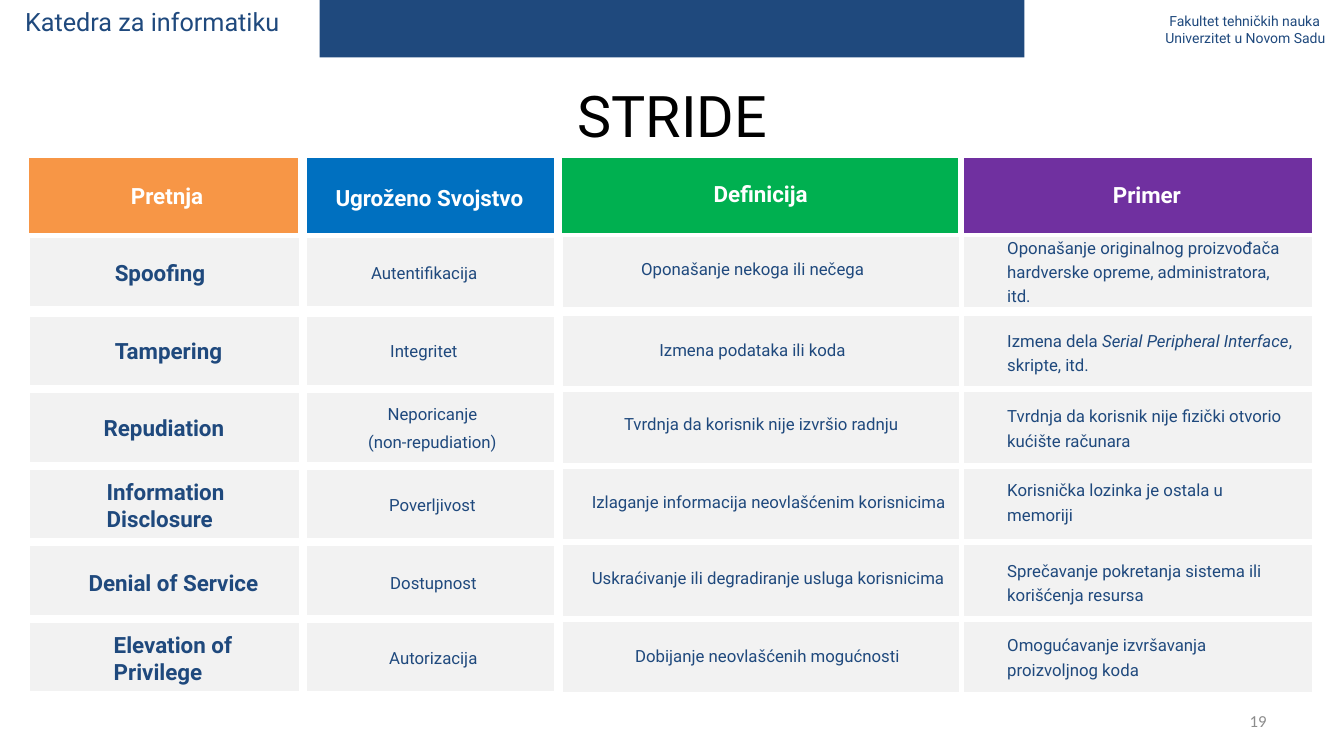
from collections import namedtuple
from dataclasses import dataclass

from pptx import Presentation
from pptx.dml.color import RGBColor
from pptx.enum.shapes import MSO_SHAPE as Shape
from pptx.enum.text import MSO_ANCHOR as Anchor, MSO_AUTO_SIZE as AutoSize, PP_ALIGN as Align
from pptx.util import Inches, Pt


@dataclass(frozen=True)
class Theme:
    font: str = "Roboto"
    number_font: str = "Calibri"
    navy: str = "1F497D"
    white: str = "FFFFFF"
    black: str = "000000"
    cell: str = "F2F2F2"
    gray: str = "8C8C8C"
    orange: str = "F79646"
    blue: str = "0070C0"
    green: str = "00B050"
    purple: str = "7030A0"
    title: int = 41
    department: int = 18
    heading: int = 16
    body: int = 12
    faculty: int = 10
    border: int = 3
    body_leading: float = 17.5


THEME = Theme()
Column = namedtuple("Column", "left width cell_left cell_rise cell_height color heading")
Label = namedtuple("Label", "text left top width lines", defaults=(1,))
Heading = namedtuple("Heading", "text left top width wrap align")

COLUMNS = [
    Column(0.27, 2.71, 0.28, 0, 0.72, THEME.orange,
           Heading("Pretnja", 1.2, 1.76, 0.93, False, Align.LEFT)),
    Column(3.02, 2.5, 3.02, 0, 0.72, THEME.blue,
           Heading("Ugroženo Svojstvo", 3.16, 1.77, 2.2, False, Align.CENTER)),
    Column(5.55, 3.97, 5.56, 0.01, 0.74, THEME.green,
           Heading("Definicija", 6.35, 1.74, 2.39, True, Align.CENTER)),
    Column(9.54, 3.49, 9.54, 0.01, 0.74, THEME.purple,
           Heading("Primer", 10.18, 1.75, 2.39, True, Align.CENTER)),
]
ROW_TOPS = [2.34] + [3.12 + 0.76 * row for row in range(5)]

THREATS = [
    Label("Spoofing", 1.04, 2.52, 2.06),
    Label("Tampering", 1.04, 3.29, 2.06),
    Label("Repudiation", 0.93, 4.06, 2.06),
    Label("Information\nDisclosure", 0.96, 4.69, 2.06, 2),
    Label("Denial of Service", 0.78, 5.59, 2.06),
    Label("Elevation of Privilege", 1.03, 6.21, 2.06, 2),
]
# Asterisks enclose italic words.
DETAILS = [
    Label("Autentifikacija", 3.63, 2.54, 3.39),
    Label("Integritet", 3.82, 3.31, 3.39),
    Label("Poverljivost", 3.81, 4.84, 3.39),
    Label("Dostupnost", 3.82, 5.62, 3.39),
    Label("Autorizacija", 3.81, 6.36, 3.39),
    Label("Oponašanje nekoga ili nečega", 6.31, 2.5, 3.43),
    Label("Izmena podataka ili koda", 6.49, 3.3, 3.43),
    Label("Tvrdnja da korisnik nije izvršio radnju", 6.14, 4.04, 3.43),
    Label("Izlaganje informacija neovlašćenim korisnicima", 5.82, 4.81, 3.69),
    Label("Uskraćivanje ili degradiranje usluga korisnicima", 5.82, 5.57, 3.63),
    Label("Dobijanje neovlašćenih mogućnosti", 6.25, 6.34, 3.43),
    Label("Oponašanje originalnog proizvođača hardverske opreme, administratora, itd.",
          9.94, 2.28, 2.86, 3),
    Label("Izmena dela *Serial Peripheral Interface*, skripte, itd.", 9.94, 3.21, 3, 2),
    Label("Tvrdnja da korisnik nije fizički otvorio kućište računara", 9.94, 3.96, 3, 2),
    Label("Korisnička lozinka je ostala u memoriji", 9.94, 4.69, 2.66, 2),
    Label("Sprečavanje pokretanja sistema ili korišćenja resursa", 9.94, 5.49, 3, 2),
    Label("Omogućavanje izvršavanja proizvoljnog koda", 9.94, 6.23, 3, 2),
]


def set_all(target, values):
    for name, value in values.items():
        setattr(target, name, value)


class SlideBuilder:
    def __init__(self, page, theme):
        self.page = page
        self.theme = theme

    def rectangle(self, left, top, width, height, color, border=None):
        box = self.page.shapes.add_shape(
            Shape.RECTANGLE, Inches(left), Inches(top), Inches(width), Inches(height))
        box.shadow.inherit = False
        box.fill.solid()
        box.fill.fore_color.rgb = RGBColor.from_string(color)
        if border:
            box.line.color.rgb = RGBColor.from_string(border)
            box.line.width = Pt(self.theme.border)
        else:
            box.line.fill.background()

    def fill_text(self, frame, text, size, color, bold=False, font=None, **para_format):
        """Fill a text frame: newlines split paragraphs, asterisks toggle italics."""
        for index, line in enumerate(text.split("\n")):
            para = frame.add_paragraph() if index else frame.paragraphs[0]
            set_all(para, para_format)
            if not index:
                para.space_before = Pt(0)
            for order, part in enumerate(line.split("*")):
                span = para.add_run()
                span.text = part
                set_all(span.font, {"name": font or self.theme.font, "size": Pt(size),
                                    "bold": bold, "italic": order % 2 == 1})
                span.font.color.rgb = RGBColor.from_string(color)

    def text(self, text, left, top, width, height, size, color,
             anchor=Anchor.MIDDLE, wrap=True, inset=None, **style):
        box = self.page.shapes.add_textbox(
            Inches(left), Inches(top), Inches(width), Inches(height))
        frame = box.text_frame
        set_all(frame, {"word_wrap": wrap, "vertical_anchor": anchor,
                        "auto_size": AutoSize.SHAPE_TO_FIT_TEXT})
        if inset:
            across, down = map(Inches, inset)
            set_all(frame, {"margin_left": across, "margin_right": across,
                            "margin_top": down, "margin_bottom": down})
        self.fill_text(frame, text, size, color, **style)
        return frame

    def title(self, text, left, top, width, height):
        box = self.page.shapes.title
        set_all(box, {"left": Inches(left), "top": Inches(top),
                      "width": Inches(width), "height": Inches(height)})
        set_all(box.text_frame, {"vertical_anchor": Anchor.MIDDLE, "word_wrap": True,
                                 "auto_size": AutoSize.NONE})
        self.fill_text(box.text_frame, text, self.theme.title, self.theme.black,
                       alignment=Align.CENTER, line_spacing=0.9)

    def header(self):
        theme = self.theme
        faculty = self.text("Fakultet tehničkih nauka\nUniverzitet u Novom Sadu",
                            11.46, 0.08, 2.06, 0.44, theme.faculty, theme.navy,
                            anchor=Anchor.TOP)
        faculty.paragraphs[0]._p.get_or_add_pPr().set("marL", str(Inches(0.04)))
        self.rectangle(3.17, -0.02, 6.99, 0.59, theme.navy)
        self.text("Katedra za informatiku", 0.15, 0.01, 3.21, 0.4,
                  theme.department, theme.navy, anchor=Anchor.TOP)

    def column(self, column):
        theme = self.theme
        self.rectangle(column.left, 1.55, column.width, 0.78, column.color, theme.white)
        for top in ROW_TOPS:
            self.rectangle(column.cell_left, top - column.cell_rise, column.width,
                           column.cell_height, theme.cell, theme.white)
        head = column.heading
        self.text(head.text, head.left, head.top, head.width, 0.37, theme.heading,
                  theme.white, wrap=head.wrap, bold=True, alignment=head.align)

    def threat(self, label):
        self.text(label.text, label.left, label.top, label.width, 0.1 + 0.27 * label.lines,
                  self.theme.heading, self.theme.navy, bold=True)

    def detail(self, label, **para_format):
        self.text(label.text, label.left, label.top, label.width, 0.04 + 0.25 * label.lines,
                  self.theme.body, self.theme.navy, inset=(0.05, 0.03),
                  line_spacing=Pt(self.theme.body_leading), space_before=Pt(2.4),
                  **para_format)


def main():
    deck = Presentation()
    set_all(deck, {"slide_width": Inches(13.33), "slide_height": Inches(7.5)})
    slide = SlideBuilder(deck.slides.add_slide(deck.slide_layouts[5]), THEME)
    slide.header()
    slide.title("STRIDE", 0.67, 0.81, 12, 0.74)
    for column in COLUMNS:
        slide.column(column)
    for label in THREATS:
        slide.threat(label)
    for label in DETAILS:
        slide.detail(label)
    slide.detail(Label("Neporicanje\n(non-repudiation)", 3.51, 3.95, 1.56, 2),
                 alignment=Align.CENTER)
    slide.text("19", 11.88, 6.95, 0.78, 0.4, THEME.body, THEME.gray,
               font=THEME.number_font, alignment=Align.RIGHT)
    deck.save("out.pptx")


if __name__ == "__main__":
    main()
